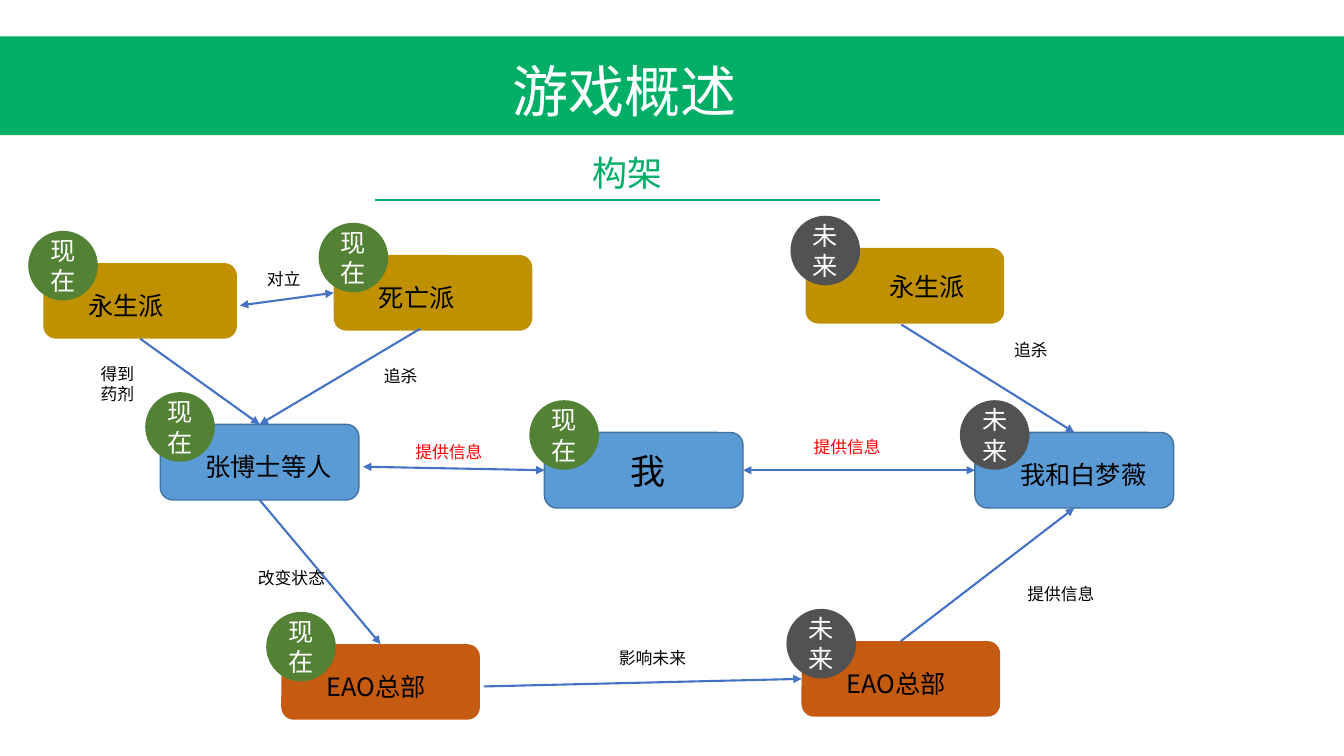
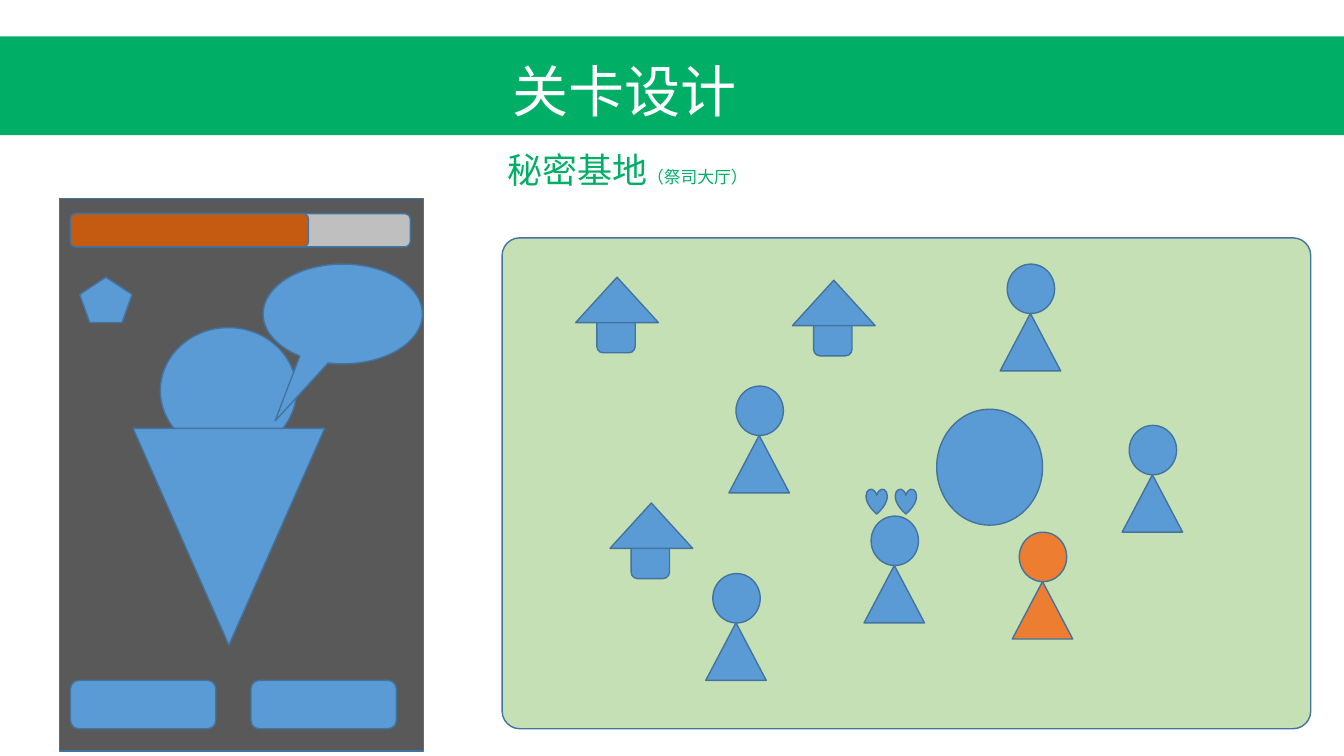
"""Build two slides on a game: its story map and a level sketch."""
from lxml import etree
from pptx import Presentation
from pptx.dml.color import RGBColor
from pptx.enum import shapes as es, text as et
from pptx.oxml.ns import qn
from pptx.util import Inches, Pt

FONT = "Noto Sans CJK SC"
GREEN = RGBColor(0x00, 0xAE, 0x66)
WHITE = RGBColor(0xFF, 0xFF, 0xFF)
BLACK = RGBColor(0x00, 0x00, 0x00)
RED = RGBColor(0xFF, 0x00, 0x00)
BLUE = RGBColor(0x5B, 0x9B, 0xD5)
EDGE = RGBColor(0x43, 0x73, 0x9E)
ARROW = RGBColor(0x44, 0x72, 0xC4)
GOLD = RGBColor(0xBF, 0x90, 0x00)
RUST = RGBColor(0xC5, 0x5A, 0x11)
ORANGE = RGBColor(0xED, 0x7D, 0x31)
LEAF = RGBColor(0x54, 0x82, 0x35)
DARK = RGBColor(0x52, 0x52, 0x52)
SLATE = RGBColor(0x59, 0x59, 0x59)
SILVER = RGBColor(0xBF, 0xBF, 0xBF)
LAWN = RGBColor(0xC5, 0xE0, 0xB4)

KIND = es.MSO_SHAPE
LEFT, CENTER = et.PP_ALIGN.LEFT, et.PP_ALIGN.CENTER
TOP, MIDDLE = et.MSO_ANCHOR.TOP, et.MSO_ANCHOR.MIDDLE
UP, WEST, DOWN, EAST = range(4)
NOW, LATER = ("现在", LEAF), ("未来", DARK)


def write(shape, words, size, color, align=LEFT, anchor=TOP):
    """Fill a shape with one styled paragraph and return it."""
    frame = shape.text_frame
    frame.word_wrap = True
    frame.vertical_anchor = anchor
    para = frame.paragraphs[0]
    para.text = words
    para.alignment = align
    para.font.size = Pt(size)
    para.font.color.rgb = color
    para.font.name = FONT
    etree.SubElement(para._p.pPr.find(qn("a:defRPr")), qn("a:ea"), typeface=FONT)
    return para


def label(shapes, box, words, size=12, color=BLACK, align=LEFT):
    """Add a text box and return its paragraph."""
    return write(shapes.add_textbox(*map(Inches, box)), words, size, color, align)


def draw(shapes, kind, box, fill=BLUE, edge=EDGE):
    """Add a flat preset shape."""
    shape = shapes.add_shape(kind, *map(Inches, box))
    shape.shadow.inherit = False
    shape.fill.solid()
    shape.fill.fore_color.rgb = fill
    if edge is None:
        shape.line.fill.background()
    else:
        shape.line.color.rgb = edge
        shape.line.width = Pt(1)
    return shape


def stroke(shapes, start, stop, color):
    """Add a flat straight line between two points."""
    line = shapes.add_connector(es.MSO_CONNECTOR.STRAIGHT, *map(Inches, start + stop))
    line.line.color.rgb = color
    line.line.width = Pt(1.5)
    etree.SubElement(line._element.spPr, qn("a:effectLst"))
    return line


def link(shapes, start, stop, both=False):
    """Draw an arrow from a point or a card's side to a card's side."""
    free = isinstance(start[0], float)
    line = stroke(shapes, start if free else (0, 0), (0, 0), ARROW)
    if not free:
        line.begin_connect(*start)
    line.end_connect(*stop)
    for tip in ("a:headEnd", "a:tailEnd") if both else ("a:tailEnd",):
        etree.SubElement(line.line._get_or_add_ln(), qn(tip), type="triangle")


def start_slide(deck, words):
    """Add a slide with the green band and its title."""
    slide = deck.slides.add_slide(deck.slide_layouts[5])
    title = slide.shapes.title
    title.left, title.top, title.width, title.height = map(Inches, (4.98, 0.51, 2.49, 0.77))
    write(title, words, 40, WHITE)
    band = draw(slide.shapes, KIND.RECTANGLE, (0, 0.36, 13.33, 0.98), GREEN, None)
    title._element.addprevious(band._element)
    return slide.shapes


def card(shapes, x, y, words, fill, era, edge=None, wide=1.97, inset=(0.35, 0.22), size=18):
    """Add a named card with its era disc and return the card."""
    group = shapes.add_group_shape().shapes
    body = draw(group, KIND.ROUNDED_RECTANGLE, (x, y, wide, 0.75), fill, edge)
    name, tint = era
    disc = draw(group, KIND.OVAL, (x - 0.15, y - 0.32, 0.69, 0.69), tint, None)
    write(disc, name, 18, WHITE, CENTER, MIDDLE)
    right, down = inset
    label(group, (x + right, y + down, wide - right, 0.4), words, size)
    return body


def person(shapes, x, y, fill=BLUE):
    """Add a figure made of a head and a triangular body."""
    group = shapes.add_group_shape().shapes
    draw(group, KIND.OVAL, (x + 0.07, y, 0.47, 0.49), fill)
    draw(group, KIND.ISOSCELES_TRIANGLE, (x, y + 0.49, 0.6, 0.57), fill)


def house(shapes, x, y):
    """Add a house made of a wall and a roof."""
    group = shapes.add_group_shape().shapes
    draw(group, KIND.ROUNDED_RECTANGLE, (x + 0.21, y + 0.37, 0.38, 0.38))
    draw(group, KIND.ISOSCELES_TRIANGLE, (x, y, 0.82, 0.45))


def story(deck):
    """Build the map of factions and their ties."""
    shapes = start_slide(deck, "游戏概述")
    stroke(shapes, (3.72, 1.98), (8.73, 1.98), GREEN)
    label(shapes, (3.72, 1.45, 5.01, 0.52), "构架", 25, GREEN, CENTER)

    me = card(shapes, 5.4, 4.29, "我", BLUE, NOW, EDGE, inset=(0.75, 0.12), size=25)
    team = card(shapes, 1.59, 4.21, "张博士等人", BLUE, NOW, EDGE)
    pair = card(shapes, 9.67, 4.29, "我和白梦薇", BLUE, LATER, EDGE)
    base = card(shapes, 2.79, 6.39, "EAO总部", RUST, NOW)
    heir = card(shapes, 7.95, 6.36, "EAO总部", RUST, LATER)
    life = card(shapes, 0.43, 2.61, "永生派", GOLD, NOW, wide=1.92)
    card(shapes, 7.99, 2.46, "永生派", GOLD, LATER, inset=(0.73, 0.18))
    death = card(shapes, 3.31, 2.53, "死亡派", GOLD, NOW)

    for start, stop, both in (
        ((4.8, 6.81), (heir, WEST), False),
        ((3.6, 4.63), (me, WEST), True),
        ((me, EAST), (pair, WEST), True),
        ((team, DOWN), (base, UP), False),
        ((heir, UP), (pair, DOWN), False),
        ((2.38, 3.03), (death, WEST), True),
        ((8.94, 3.22), (pair, UP), False),
        ((life, DOWN), (team, UP), False),
        ((4.17, 3.26), (team, UP), False),
    ):
        link(shapes, start, stop, both)

    for x, y, wide, words, color in (
        (7.97, 4.28, 1.02, "提供信息", RED),
        (4.02, 4.33, 1.02, "提供信息", RED),
        (10.09, 5.74, 1.02, "提供信息", BLACK),
        (2.46, 5.58, 1.02, "改变状态", BLACK),
        (6.04, 6.38, 1.02, "影响未来", BLACK),
        (2.55, 2.62, 0.54, "对立", BLACK),
        (0.9, 3.56, 0.54, "得到药剂", BLACK),
        (3.71, 3.58, 0.73, "追杀", BLACK),
        (9.96, 3.32, 0.73, "追杀", BLACK),
    ):
        label(shapes, (x, y, wide, 0.3), words, color=color)


def phone(shapes):
    """Add the dialogue screen with its speaker, buttons and meter."""
    group = shapes.add_group_shape().shapes
    draw(group, KIND.RECTANGLE, (0.59, 1.97, 3.61, 5.48), SLATE)
    draw(group, KIND.OVAL, (1.59, 3.25, 1.35, 1.25))
    torso = draw(group, KIND.ISOSCELES_TRIANGLE, (1.32, 4.25, 1.9, 2.15))
    torso.rotation = 180
    speech = draw(group, KIND.OVAL_CALLOUT, (2.61, 2.62, 1.58, 0.99))
    speech.adjustments[0], speech.adjustments[1] = -0.425, 1.072
    for x in (0.7, 2.49):
        draw(group, KIND.ROUNDED_RECTANGLE, (x, 6.75, 1.44, 0.48))
    for wide, fill in ((3.37, SILVER), (2.36, RUST)):
        draw(group, KIND.ROUNDED_RECTANGLE, (0.7, 2.12, wide, 0.33), fill)
    draw(group, KIND.REGULAR_PENTAGON, (0.79, 2.75, 0.52, 0.45))


def level(deck):
    """Build the sketch of the secret base."""
    shapes = start_slide(deck, "关卡设计")
    para = label(shapes, (4.86, 1.42, 2.73, 0.52), "秘密基地", 25, GREEN, CENTER)
    note = para.add_run()
    note.text = "（祭司大厅）"
    note.font.size = Pt(12)
    phone(shapes)

    field = draw(shapes, KIND.ROUNDED_RECTANGLE, (4.98, 2.36, 8.02, 4.87), LAWN)
    field.adjustments[0] = 0.036
    for x, y in ((5.71, 2.75), (7.86, 2.78), (6.05, 4.99)):
        house(shapes, x, y)
    draw(shapes, KIND.OVAL, (9.29, 4.06, 1.05, 1.15))
    for x, y in ((7.23, 3.83), (8.57, 5.12), (9.92, 2.62), (11.13, 4.22), (7, 5.69)):
        person(shapes, x, y)
    person(shapes, 10.04, 5.28, ORANGE)
    for x in (8.59, 8.88):
        draw(shapes, KIND.HEART, (x, 4.85, 0.21, 0.25))


def main():
    """Build and save the deck."""
    deck = Presentation()
    deck.slide_width, deck.slide_height = Inches(13.33), Inches(7.5)
    story(deck)
    level(deck)
    deck.save("out.pptx")


if __name__ == "__main__":
    main()
